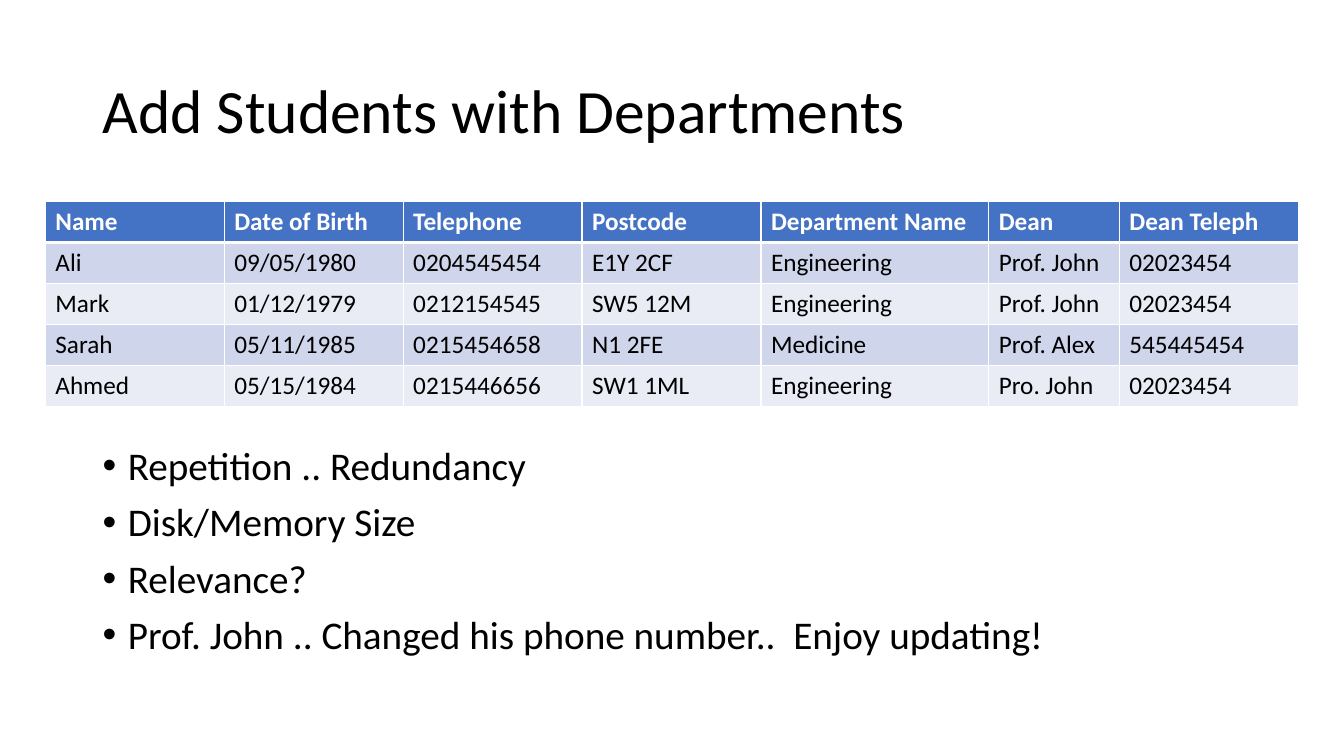
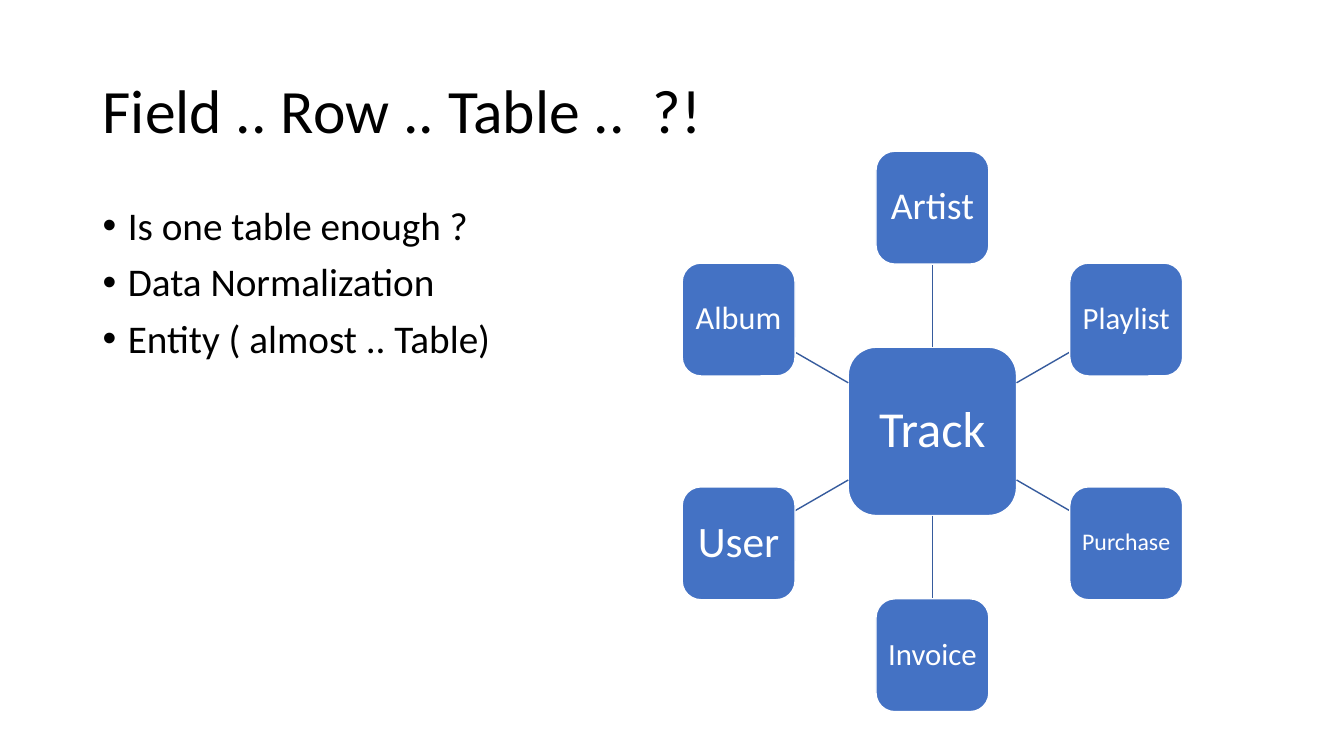
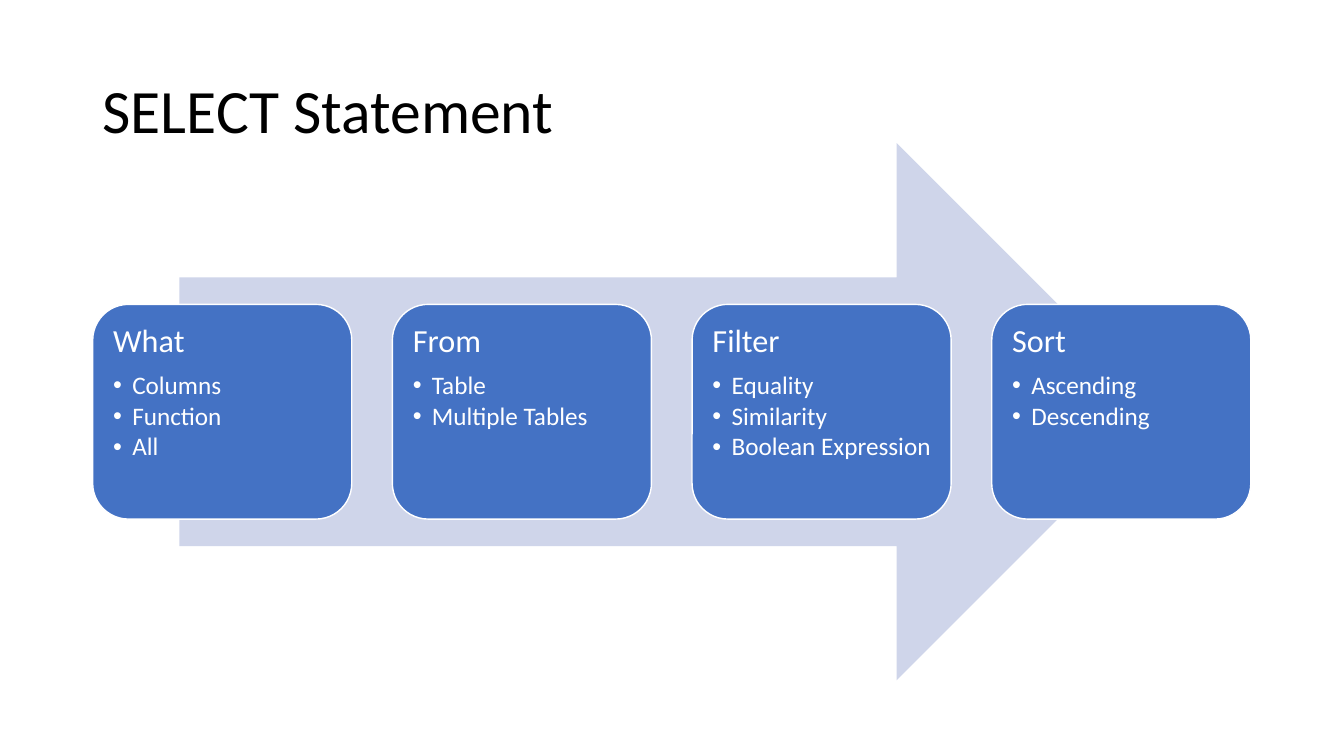
"""Build three slides on tables, entities and the SELECT statement."""
from dataclasses import dataclass
from math import cos, radians, sin
from typing import Any

from lxml import etree
from pptx import Presentation
from pptx.dml import color as col
from pptx.enum import shapes as sh, text as tx
from pptx.oxml import ns
from pptx.slide import Slide
from pptx.util import Inches, Pt

HUES = {"ink": "000000", "paper": "FFFFFF", "blue": "4472C4",
        "line": "365B9D", "pale": "CFD5EA", "mist": "E9EBF5"}
FONT = "Calibri"
LEFT, WIDE = 0.92, 11.5
MARGINS = ("margin_left", "margin_top", "margin_right", "margin_bottom")


@dataclass(frozen=True)
class Line:
    text: str
    size: float
    hue: str = "ink"
    hang: float = 0
    before: float = 0
    after: float = 0
    bold: bool = False
    align: Any = tx.PP_ALIGN.LEFT
    lead: float = 0.9


@dataclass(frozen=True)
class Node:
    name: str
    size: float
    angle: float


@dataclass(frozen=True)
class Step:
    name: str
    items: tuple[str, ...]


def shade(name: str) -> col.RGBColor:
    return col.RGBColor.from_string(HUES[name])


def put(item: Any, looks: dict[str, Any]) -> None:
    for key, value in looks.items():
        setattr(item, key, value)


def write(frame: Any, lines: list[Line]) -> None:
    for i, line in enumerate(lines):
        para = frame.add_paragraph() if i else frame.paragraphs[0]
        put(para, {"alignment": line.align, "line_spacing": line.lead,
                   "space_before": Pt(line.before), "space_after": Pt(line.after)})
        run = para.add_run()
        run.text = line.text
        put(run.font, {"name": FONT, "size": Pt(line.size), "bold": line.bold})
        run.font.color.rgb = shade(line.hue)
        if line.hang:
            props = para._p.get_or_add_pPr()
            props.set("marL", str(Inches(line.hang)))
            props.set("indent", str(-Inches(line.hang)))
            etree.SubElement(props, ns.qn("a:buFont"), typeface="Arial")
            etree.SubElement(props, ns.qn("a:buChar"), char="•")


def add_text(slide: Slide, top: float, high: float, lines: list[Line],
             anchor: Any = tx.MSO_ANCHOR.TOP, wide: float = WIDE) -> None:
    box = slide.shapes.add_textbox(Inches(LEFT), Inches(top), Inches(wide), Inches(high))
    put(box.text_frame, {"word_wrap": True, "vertical_anchor": anchor})
    write(box.text_frame, lines)


def add_page(deck: Any, title: str) -> Slide:
    slide = deck.slides.add_slide(deck.slide_layouts[6])
    add_text(slide, 0.4, 1.45, [Line(title, 44)], tx.MSO_ANCHOR.MIDDLE)
    return slide


def points(*items: str) -> list[Line]:
    return [Line(item, 28, hang=0.25, before=10) for item in items]


def add_form(slide: Slide, kind: Any, at: tuple[float, ...], fill: str,
             edge: str | None = None) -> Any:
    form = slide.shapes.add_shape(kind, *map(Inches, at))
    form.shadow.inherit = False
    form.fill.solid()
    form.fill.fore_color.rgb = shade(fill)
    if edge:
        form.line.color.rgb = shade(edge)
        form.line.width = Pt(1)
    else:
        form.line.fill.background()
    return form


def add_card(slide: Slide, at: tuple[float, ...], lines: list[Line],
             inset: float, anchor: Any) -> None:
    card = add_form(slide, sh.MSO_SHAPE.ROUNDED_RECTANGLE, at, "blue", "paper")
    put(card.text_frame, {"word_wrap": True, "vertical_anchor": anchor}
        | dict.fromkeys(MARGINS, Inches(inset)))
    write(card.text_frame, lines)


def add_link(slide: Slide, ends: tuple[float, ...]) -> None:
    link = slide.shapes.add_connector(sh.MSO_CONNECTOR.STRAIGHT, *map(Inches, ends))
    link.line.color.rgb = shade("line")
    link.line.width = Pt(1)
    etree.SubElement(link._element.spPr, ns.qn("a:effectLst"))


def edge_cell(cell: Any, base: float) -> None:
    props = cell._tc.get_or_add_tcPr()
    for i, (side, width) in enumerate({"L": 1, "R": 1, "T": 1, "B": base}.items()):
        edge = etree.Element(ns.qn(f"a:ln{side}"), w=str(Pt(width)))
        fill = etree.SubElement(edge, ns.qn("a:solidFill"))
        etree.SubElement(fill, ns.qn("a:srgbClr"), val=HUES["paper"])
        props.insert(i, edge)


def add_grid(slide: Slide, rows: list[tuple[str, ...]], widths: list[float]) -> None:
    high = 0.406
    frame = slide.shapes.add_table(len(rows), len(widths), Inches(0.45), Inches(2),
                                   Inches(sum(widths)), Inches(high * len(rows)))
    grid = frame.table
    for column, width in zip(grid.columns, widths):
        column.width = Inches(width)
    for r, row in enumerate(rows):
        head = r == 0
        fill = "blue" if head else ("mist", "pale")[r % 2]
        for c, word in enumerate(row):
            cell = grid.cell(r, c)
            cell.fill.solid()
            cell.fill.fore_color.rgb = shade(fill)
            edge_cell(cell, 3 if head else 1)
            write(cell.text_frame, [Line(word, 18, "paper" if head else "ink",
                                         bold=head, lead=1.0)])


def add_web(slide: Slide, hub: Node, nodes: list[Node]) -> None:
    mid_x, mid_y, reach, core, leaf = 9.25, 4.28, 2.22, 1.67, 1.12

    def place(node: Node, x: float, y: float, side: float) -> None:
        label = Line(node.name, node.size, "paper", align=tx.PP_ALIGN.CENTER)
        add_card(slide, (x - side / 2, y - side / 2, side, side), [label],
                 node.size * 0.0027, tx.MSO_ANCHOR.MIDDLE)

    place(hub, mid_x, mid_y, core)
    for node in nodes:
        dx, dy = sin(radians(node.angle)), -cos(radians(node.angle))
        span = max(abs(dx), abs(dy))
        near, far = core / 2 / span, reach - leaf / 2 / span
        add_link(slide, (mid_x + near * dx, mid_y + near * dy,
                         mid_x + far * dx, mid_y + far * dy))
        place(node, mid_x + reach * dx, mid_y + reach * dy, leaf)


def add_flow(slide: Slide, steps: list[Step]) -> None:
    add_form(slide, sh.MSO_SHAPE.RIGHT_ARROW, (1.78, 1.42, 9.78, 5.33), "pale")
    wide, high, pitch = 2.57, 2.13, 2.973
    for i, step in enumerate(steps):
        lines = [Line(step.name, 23, "paper", after=9.5)]
        lines += [Line(item, 18, "paper", hang=0.19, after=2.4) for item in step.items]
        add_card(slide, (LEFT + i * pitch, 3.02, wide, high), lines, 0.1,
                 tx.MSO_ANCHOR.TOP)


def main() -> None:
    deck = Presentation()
    put(deck, {"slide_width": Inches(13.333), "slide_height": Inches(7.5)})

    page = add_page(deck, "Add Students with Departments")
    add_text(page, 4.38, 2.87, points(
        "Repetition .. Redundancy", "Disk/Memory Size", "Relevance?",
        "Prof. John .. Changed his phone number..  Enjoy updating!"), wide=9.75)
    add_grid(page, [
        ("Name", "Date of Birth", "Telephone", "Postcode", "Department Name",
         "Dean", "Dean Teleph"),
        ("Ali", "09/05/1980", "0204545454", "E1Y 2CF", "Engineering",
         "Prof. John", "02023454"),
        ("Mark", "01/12/1979", "0212154545", "SW5 12M", "Engineering",
         "Prof. John", "02023454"),
        ("Sarah", "05/11/1985", "0215454658", "N1 2FE", "Medicine",
         "Prof. Alex", "545445454"),
        ("Ahmed", "05/15/1984", "0215446656", "SW1 1ML", "Engineering",
         "Pro. John", "02023454"),
    ], [1.775] * 4 + [2.26, 1.295, 1.775])

    page = add_page(deck, "Field .. Row .. Table ..  ?!")
    add_text(page, 2, 4.76, points(
        "Is one table enough ?", "Data Normalization", "Entity ( almost .. Table)"))
    leaves = [("Artist", 27), ("Playlist", 22), ("Purchase", 17),
              ("Invoice", 22), ("User", 31), ("Album", 23)]
    add_web(page, Node("Track", 36, 0),
            [Node(name, size, i * 360 / len(leaves))
             for i, (name, size) in enumerate(leaves)])

    page = add_page(deck, "SELECT Statement")
    add_flow(page, [
        Step("What", ("Columns", "Function", "All")),
        Step("From", ("Table", "Multiple Tables")),
        Step("Filter", ("Equality", "Similarity", "Boolean Expression")),
        Step("Sort", ("Ascending", "Descending")),
    ])
    deck.save("out.pptx")


main()
